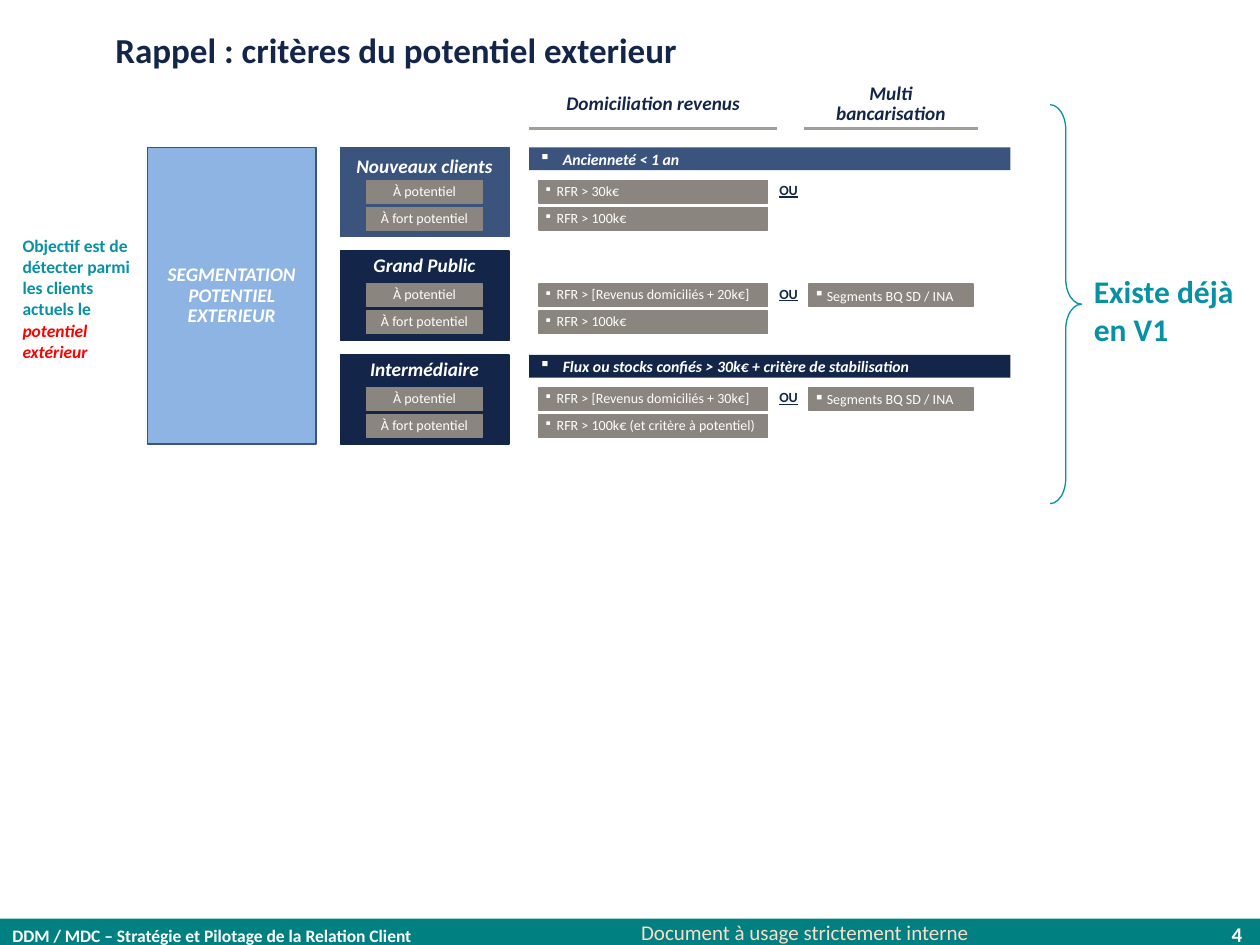
from collections import namedtuple

from lxml.etree import SubElement
from pptx import Presentation
from pptx.dml.color import RGBColor
from pptx.enum.shapes import MSO_CONNECTOR, MSO_SHAPE as Preset
from pptx.enum.text import MSO_ANCHOR as Anchor, PP_ALIGN as Align
from pptx.oxml.ns import qn
from pptx.util import Pt

COLORS = {
    "navy": "13264A", "blue": "3B547D", "sky": "8EB4E3", "taupe": "8A857E",
    "rule": "A29E9A", "teal": "0891A4", "brace": "0491A4", "footer": "008080",
    "peach": "FCDDCB", "red": "FF0000", "white": "FFFFFF",
}
Box = namedtuple("Box", "left top width height")
Segment = namedtuple("Segment", "name color inset condition potential strong bank")
SEGMENTS = [
    Segment("Nouveaux clients", "blue", 5.7, "Ancienneté < 1 an",
            "RFR > 30k€", "RFR > 100k€", None),
    Segment("Grand Public", "navy", 2.8, None,
            "RFR > [Revenus domiciliés + 20k€]", "RFR > 100k€",
            "Segments BQ SD / INA"),
    Segment("Intermédiaire", "navy", 2.8,
            "Flux ou stocks confiés > 30k€ + critère de stabilisation",
            "RFR > [Revenus domiciliés + 30k€]",
            "RFR > 100k€ (et critère à potentiel)", "Segments BQ SD / INA"),
]


def rgb(name):
    """Return the named colour."""
    return RGBColor.from_string(COLORS[name])


def within(box, left, top, width, height):
    """Return a box whose offsets are relative to another box."""
    return Box(box.left + left, box.top + top, width, height)


def add_run(paragraph, text, size, color, bold=False, italic=False, underline=False):
    """Add one formatted run to a paragraph."""
    run = paragraph.add_run()
    run.text = text
    font = run.font
    font.name, font.size = "Calibri", Pt(size)
    font.bold, font.italic, font.underline = bold, italic, underline
    font.color.rgb = rgb(color)


def add_bullet(paragraph, indent, percent=100):
    """Give a paragraph a hanging white square bullet."""
    properties = paragraph._p.get_or_add_pPr()
    properties.set("marL", str(Pt(indent)))
    properties.set("indent", str(Pt(-indent)))
    color = SubElement(properties, qn("a:buClr"))
    SubElement(color, qn("a:srgbClr"), val=COLORS["white"])
    SubElement(properties, qn("a:buSzPct"), val=str(percent * 1000))
    SubElement(properties, qn("a:buChar"), char="▪")


def fill_frame(shape, insets, anchor, align, spacing, before=0):
    """Set up the text frame of a shape and return its first paragraph."""
    frame = shape.text_frame
    frame.word_wrap = True
    frame.vertical_anchor = anchor
    (frame.margin_left, frame.margin_top,
     frame.margin_right, frame.margin_bottom) = map(Pt, insets)
    paragraph = frame.paragraphs[0]
    paragraph.alignment, paragraph.line_spacing = align, spacing
    paragraph.space_before = Pt(before)
    return paragraph


def add_text(slide, box, insets=(7.2, 3.6, 7.2, 3.6), anchor=Anchor.TOP,
             align=Align.LEFT, spacing=1, before=0):
    """Add a text box and return its first paragraph."""
    shape = slide.shapes.add_textbox(*map(Pt, box))
    return fill_frame(shape, insets, anchor, align, spacing, before)


def add_block(slide, box, fill, line=None, insets=(0, 0, 0, 0),
              anchor=Anchor.MIDDLE, align=Align.CENTER, spacing=0.9, before=0):
    """Add a filled rectangle and return its first paragraph."""
    shape = slide.shapes.add_shape(Preset.RECTANGLE, *map(Pt, box))
    shape.shadow.inherit = False
    shape.fill.solid()
    shape.fill.fore_color.rgb = rgb(fill)
    if line:
        shape.line.color.rgb = rgb(line)
        shape.line.width = Pt(0.75)
    else:
        shape.line.fill.background()
    return fill_frame(shape, insets, anchor, align, spacing, before)


def add_criterion(slide, box, text, right=2.9, spacing=0.9, percent=80):
    """Add a bulleted criterion on a taupe strip."""
    paragraph = add_block(slide, box, "taupe", "taupe", (2.9, 5.7, right, 5.7),
                          align=Align.LEFT, spacing=spacing)
    add_bullet(paragraph, 7.2, percent)
    add_run(paragraph, text, 8, "white")


def add_segment(slide, box, segment):
    """Add one client segment with its criteria."""
    name = add_block(slide, within(box, 0, 0, 96.5, box.height), segment.color,
                     segment.color, (0, segment.inset, 0, 0), Anchor.TOP)
    add_run(name, segment.name, 11, "white", bold=True, italic=True)
    if segment.condition:
        condition = add_block(slide, within(box, 108, 0, 275, 13), segment.color,
                              insets=(5.7,) * 4, align=Align.LEFT, spacing=1, before=6)
        add_bullet(condition, 13.5)
        add_run(condition, segment.condition, 9, "white", bold=True, italic=True)
    rows = [("À potentiel", segment.potential), ("À fort potentiel", segment.strong)]
    for index, (level, criterion) in enumerate(rows):
        top = 18.8 + 15.4 * index
        label = add_block(slide, within(box, 15, top, 66.5, 13), "taupe", "taupe")
        add_run(label, level, 8, "white")
        add_criterion(slide, within(box, 113.6, top, 130.5, 13), criterion)
    either = add_text(slide, within(box, 247.5, 19.6, 17.5, 10.8), (0, 0, 0, 0),
                      Anchor.MIDDLE, Align.CENTER, 0.85, 6)
    add_run(either, "OU", 8, "navy", bold=True, underline=True)
    if segment.bank:
        add_criterion(slide, within(box, 268, 18.8, 93.6, 13), segment.bank, 0, 1, 100)


def add_heading(slide, box, text, margin):
    """Add a column heading above its rule."""
    paragraph = add_text(slide, within(box, margin, 0, box.width - 2 * margin, 23),
                         (5.7,) * 4, Anchor.MIDDLE, Align.CENTER, 0.85, 6)
    add_run(paragraph, text, 11, "navy", bold=True, italic=True)
    bottom = box.top + box.height
    rule = slide.shapes.add_connector(
        MSO_CONNECTOR.STRAIGHT, Pt(box.left), Pt(bottom),
        Pt(box.left + box.width), Pt(bottom))
    rule.line.color.rgb = rgb("rule")
    rule.line.width = Pt(1.5)
    SubElement(rule._element.spPr, qn("a:effectLst"))


def add_grid(slide, box):
    """Add the segmentation panel, headings and client segments."""
    panel = add_block(slide, within(box, 0, 0, 96.5, box.height), "sky", "blue")
    add_run(panel, "SEGMENTATION POTENTIEL EXTERIEUR", 11, "white", bold=True, italic=True)
    add_heading(slide, within(box, 218.2, -36, 141.8, 25.2), "Domiciliation revenus", 14.4)
    add_heading(slide, within(box, 375.2, -36, 99.4, 25.2), "Multi bancarisation", 10)
    height = 51
    pitch = (box.height - height) / (len(SEGMENTS) - 1)
    for index, segment in enumerate(SEGMENTS):
        add_segment(slide, within(box, 110.2, index * pitch, 383, height), segment)


def add_goal(slide, box):
    """Add the goal statement."""
    paragraph = add_text(slide, box)
    add_run(paragraph, "Objectif est de détecter parmi les clients actuels le ",
            10, "teal", bold=True)
    add_run(paragraph, "potentiel extérieur", 10, "red", bold=True, italic=True)


def add_conclusion(slide, box):
    """Add the brace and its conclusion."""
    brace = slide.shapes.add_shape(
        Preset.RIGHT_BRACE, *map(Pt, within(box, 0, 0, 18, box.height)))
    brace.shadow.inherit = False
    brace.adjustments[0], brace.adjustments[1] = 0.8, 0.5
    brace.fill.background()
    brace.line.color.rgb = rgb("brace")
    brace.line.width = Pt(0.75)
    paragraph = add_text(slide, within(box, 18, 92, box.width - 18, 51))
    add_run(paragraph, "Existe déjà en V1", 18, "teal", bold=True)


def add_title(slide, box):
    """Add the slide title."""
    paragraph = add_text(slide, box, (0, 3.6, 1.4, 1.4), Anchor.BOTTOM, spacing=0.9)
    add_run(paragraph, "Rappel : critères du potentiel exterieur", 20, "navy", bold=True)


def add_footer(slide, box):
    """Add the footer band with its three texts."""
    add_block(slide, box, "footer")
    department = add_text(slide, within(box, 0, 0, 411, 19.4))
    add_run(department, "DDM / MDC – Stratégie et Pilotage de la Relation Client",
            10, "white", bold=True)
    notice = add_text(slide, within(box, 359.3, -3, 235, 21.6))
    add_run(notice, "Document à usage strictement interne", 12, "peach")
    number = add_text(slide, within(box, 638, 0, 79, 17.3),
                      anchor=Anchor.MIDDLE, align=Align.RIGHT)
    add_run(number, "4", 12, "white", bold=True)


def main():
    """Build and save the slide."""
    presentation = Presentation()
    presentation.slide_width, presentation.slide_height = Pt(720), Pt(540)
    slide = presentation.slides.add_slide(presentation.slide_layouts[6])
    add_footer(slide, Box(0, 525, 720, 17.3))
    add_title(slide, Box(66, -12.2, 654, 54))
    add_grid(slide, Box(84.2, 84.2, 493, 169.6))
    add_goal(slide, Box(5.8, 131, 78.5, 80))
    add_conclusion(slide, Box(600, 59.8, 120, 228))
    presentation.save("out.pptx")


if __name__ == "__main__":
    main()
